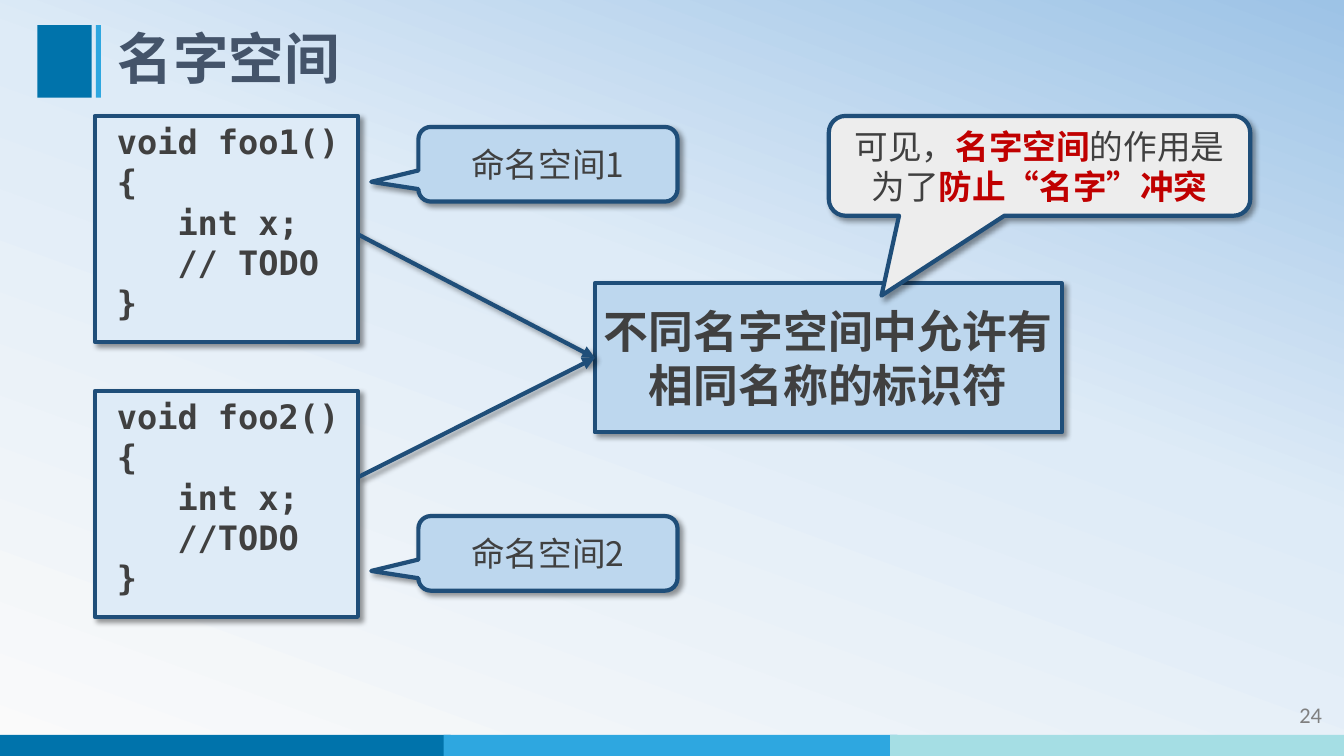
from copy import deepcopy

from lxml import etree
from pptx import Presentation
from pptx.dml.color import RGBColor
from pptx.enum.shapes import MSO_CONNECTOR, MSO_SHAPE
from pptx.enum.text import MSO_ANCHOR, PP_ALIGN
from pptx.oxml.ns import qn
from pptx.util import Pt

PX = 9144  # 100 px to the inch
RECT = MSO_SHAPE.RECTANGLE
BUBBLE = MSO_SHAPE.ROUNDED_RECTANGULAR_CALLOUT
STRAIGHT = MSO_CONNECTOR.STRAIGHT
TOP, MIDDLE = MSO_ANCHOR.TOP, MSO_ANCHOR.MIDDLE
LEFT, CENTER, RIGHT = PP_ALIGN.LEFT, PP_ALIGN.CENTER, PP_ALIGN.RIGHT


class Theme:
    cjk, mono, latin = "Noto Sans CJK SC", "DejaVu Sans Mono", "Calibri"
    title, claim, body, page = 39.6, 32, 24, 16
    edge, ink, red = "1F4E79", "404040", "C00000"
    head, grey = "44546A", "808080"
    code, blue, note = "DEEBF7", "BDD7EE", "EDEDED"
    bars = ("0073AB", "2EA7E0", "A5DEE4")
    sky = ((0, "FAFAFA"), (58, "DEEBF7"), (100, "9DC3E6"))


def rgb(code):
    return RGBColor.from_string(code)


def add(parent, tag, **attrs):
    return etree.SubElement(parent, qn(tag), attrs)


def paint(slide):
    """Gradient background."""
    fill = slide.background.fill
    fill.gradient()
    fill.gradient_angle = 70
    stops = slide.element.find(".//" + qn("a:gsLst"))
    stops.insert(1, deepcopy(stops[0]))
    for stop, (pos, color) in zip(fill.gradient_stops, Theme.sky):
        stop.position = pos / 100
        stop.color.rgb = rgb(color)


def shade(item):
    """Soft shadow down to the right."""
    props = item.element.spPr
    for old in props.findall(qn("a:effectLst")):
        props.remove(old)
    drop = add(add(props, "a:effectLst"), "a:outerShdw", blurRad=str(Pt(4)),
               dist=str(Pt(3)), dir="2700000", algn="tl", rotWithShape="0")
    add(add(drop, "a:srgbClr", val="000000"), "a:alpha", val="40000")


def style(font, name, size, color, bold):
    font.name, font.size, font.bold = name, Pt(size), bold
    font.color.rgb = rgb(color)


def write(shape, lines, name, size, color=Theme.ink, bold=False,
          align=CENTER, anchor=MIDDLE, wrap=True, space=None):
    """One paragraph for each line."""
    frame = shape.text_frame
    frame.word_wrap, frame.vertical_anchor = wrap, anchor
    for i, line in enumerate(lines):
        para = frame.paragraphs[0] if i == 0 else frame.add_paragraph()
        para.text, para.alignment, para.line_spacing = line, align, space
        style(para.font, name, size, color, bold)
    return frame


def label(slide, box, *args, **opts):
    text = slide.shapes.add_textbox(*(n * PX for n in box))
    return write(text, *args, **opts)


def block(slide, box, fill, kind=RECT):
    """Plain filled shape."""
    shape = slide.shapes.add_shape(kind, *(n * PX for n in box))
    shape.shadow.inherit = False
    shape.fill.solid()
    shape.fill.fore_color.rgb = rgb(fill)
    shape.line.fill.background()
    return shape


def card(slide, box, fill, kind=RECT):
    """Outlined shape with a shadow."""
    shape = block(slide, box, fill, kind)
    shape.line.color.rgb = rgb(Theme.edge)
    shape.line.width = Pt(3)
    shade(shape)
    return shape


def bubble(slide, box, fill, tip):
    shape = card(slide, box, fill, BUBBLE)
    for i, value in enumerate(tip):
        shape.adjustments[i] = value
    return shape


def arrow(slide, x, y, goal):
    """Arrow to the left side of the goal."""
    line = slide.shapes.add_connector(STRAIGHT, x * PX, y * PX, 0, 0)
    line.end_connect(goal, 1)
    line.line.color.rgb = rgb(Theme.edge)
    line.line.width = Pt(3)
    add(line.line._get_or_add_ln(), "a:tailEnd", type="triangle")
    shade(line)


def main():
    deck = Presentation()
    deck.slide_width, deck.slide_height = 1333 * PX, 750 * PX
    slide = deck.slides.add_slide(deck.slide_layouts[6])
    paint(slide)

    # Footer bars, title marks, page number and title
    for i, color in enumerate(Theme.bars):
        block(slide, (443 * i - 3, 729, 450, 21), color)
    block(slide, (37, 25, 54, 72), Theme.bars[0])
    block(slide, (95, 25, 5, 72), Theme.bars[1])
    label(slide, (1162, 691, 159, 40), ["24"], Theme.latin, Theme.page,
          Theme.grey, align=RIGHT, anchor=TOP)
    label(slide, (107, 25, 1086, 72), ["名字空间"], Theme.cjk, Theme.title,
          Theme.head, True, align=LEFT, space=0.9)

    # Two functions, each with its own namespace
    for name, todo, top in (("foo1", "// TODO", 115), ("foo2", "//TODO", 388)):
        lines = [f"void {name}()", "{", "   int x;", f"   {todo}", "}"]
        frame = write(card(slide, (94, top, 261, 224), Theme.code), lines,
                      Theme.mono, Theme.body, bold=True, align=LEFT,
                      anchor=TOP)
        for para in frame.paragraphs:
            props = para._p.get_or_add_pPr()
            props.set("marL", str(40 * PX))
            props.set("indent", str(-28 * PX))

    # Shared claim
    claim = card(slide, (590, 281, 463, 148), Theme.blue)
    write(claim, ["不同名字空间中允许有", "相同名称的标识符"], Theme.cjk,
          Theme.claim, bold=True, wrap=False)
    for y in (233, 473):
        arrow(slide, 356, y, claim)

    # Conclusion with key words in red
    note = bubble(slide, (822, 115, 418, 99), Theme.note, (-0.375, 1.3, 0.167))
    para = write(note, [""], Theme.cjk, Theme.body, anchor=TOP).paragraphs[0]
    for text, key in (("可见，", False), ("名字空间", True),
                      ("的作用是为了", False), ("防止“名字”冲突", True)):
        run = para.add_run()
        run.text = text
        if key:
            run.font.bold, run.font.color.rgb = True, rgb(Theme.red)

    # Namespace names
    for i, top in enumerate((126, 512), 1):
        name = bubble(slide, (415, top, 257, 74), Theme.blue,
                      (-0.682, 0.236, 0.167))
        write(name, [f"命名空间{i}"], Theme.cjk, Theme.body)

    deck.save("out.pptx")


if __name__ == "__main__":
    main()
